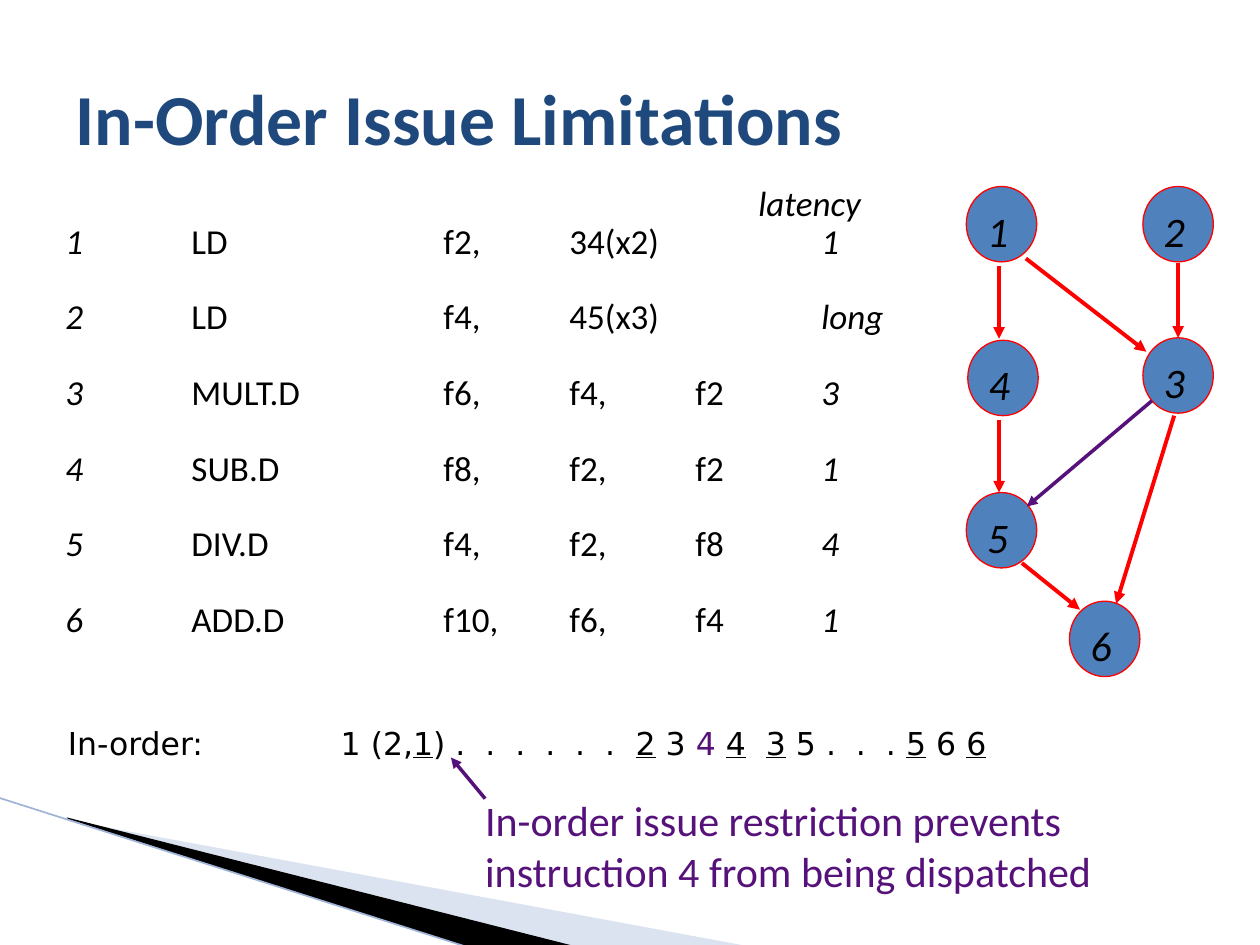
from lxml.etree import SubElement
from pptx import Presentation
from pptx.dml.color import RGBColor
from pptx.enum.shapes import MSO_CONNECTOR as Connector, MSO_SHAPE as Preset
from pptx.enum.text import MSO_ANCHOR as Anchor, PP_ALIGN as Align
from pptx.oxml.ns import qn
from pptx.util import Cm, Pt

BLACK = RGBColor(0x00, 0x00, 0x00)
NAVY = RGBColor(0x1F, 0x49, 0x7D)
BLUE = RGBColor(0x4F, 0x81, 0xBD)
PALE = RGBColor(0xA7, 0xB9, 0xDB)
EDGE = RGBColor(0x9E, 0xB3, 0xD6)
RED = RGBColor(0xFF, 0x00, 0x00)
PURPLE = RGBColor(0x56, 0x12, 0x7A)

INSTRUCTIONS = [
    ("1", "LD", "f2,", "34(x2)", "", "1"),
    ("2", "LD", "f4,", "45(x3)", "", "long"),
    ("3", "MULT.D", "f6,", "f4,", "f2", "3"),
    ("4", "SUB.D", "f8,", "f2,", "f2", "1"),
    ("5", "DIV.D", "f4,", "f2,", "f8", "4"),
    ("6", "ADD.D", "f10,", "f6,", "f4", "1"),
]
COLUMN_TABS = [2.54, 7.62, 10.16, 12.7, 15.24]
LATENCY_TAB = 13.97

SCHEDULE = [
    ("In-order:\t1 (2,", ""), ("1", "u"), (") .  .  .  .  .  .  ", ""),
    ("2", "u"), (" 3 ", ""), ("4 ", "p"), ("4", "u"), ("  ", ""),
    ("3", "u"), (" 5 .  .  . ", ""), ("5", "u"), (" 6 ", ""), ("6", "u"),
]

NODES = [(19.48, 3.76), (23.04, 3.76), (23.04, 6.81),
         (19.51, 6.86), (19.48, 9.93), (21.56, 12.12)]
DEPENDENCIES = [
    (20.14, 5.36, 20.14, 6.83),
    (20.14, 8.46, 20.14, 9.93),
    (23.75, 5.31, 23.75, 6.81),
    (20.68, 5.21, 23.11, 7.09),
    (20.6, 11.35, 21.77, 12.29),
    (23.67, 8.38, 22.5, 12.17),
]
PURPLE_ARROWS = [(23.22, 8.08, 20.7, 10.21), (9.78, 16.1, 9.09, 15.27)]


def add_box(page, left, top, width, height):
    """Add a wrapping text box and return its text frame."""
    box = page.shapes.add_textbox(Cm(left), Cm(top), Cm(width), Cm(height))
    box.text_frame.word_wrap = True
    return box.text_frame


def add_span(para, text, size, color=BLACK, font="Calibri", italic=False):
    """Append a formatted run to a paragraph."""
    span = para.add_run()
    span.text = text
    span.font.size = Pt(size)
    span.font.name = font
    span.font.color.rgb = color
    span.font.italic = italic
    return span


def set_tabs(para, stops):
    """Give a paragraph left tab stops at the given centimetres."""
    tabs = SubElement(para._p.get_or_add_pPr(), qn("a:tabLst"))
    for stop in stops:
        SubElement(tabs, qn("a:tab"), pos=str(Cm(stop)), algn="l")


def add_line(page, ends, color, width, arrow=True):
    """Draw a straight connector, with an arrowhead at its end if asked."""
    line = page.shapes.add_connector(Connector.STRAIGHT, *map(Cm, ends))
    line.line.color.rgb = color
    line.line.width = Pt(width)
    if arrow:
        SubElement(line.line._get_or_add_ln(), qn("a:tailEnd"), type="triangle")
    SubElement(line._element.spPr, qn("a:effectLst"))


def add_wedge(page, points, color, opacity=100):
    """Draw a filled polygon without outline."""
    start, *rest = [(Cm(x), Cm(y)) for x, y in points]
    builder = page.shapes.build_freeform(*start)
    builder.add_line_segments(rest)
    wedge = builder.convert_to_shape()
    wedge.shadow.inherit = False
    wedge.line.fill.background()
    wedge.fill.solid()
    wedge.fill.fore_color.rgb = color
    if opacity < 100:
        tint = wedge._element.spPr.find(".//" + qn("a:srgbClr"))
        SubElement(tint, qn("a:alpha"), val=str(opacity * 1000))


def add_node(page, label, left, top):
    """Draw a graph node with its number."""
    node = page.shapes.add_shape(Preset.OVAL, Cm(left), Cm(top), Cm(1.42), Cm(1.52))
    node.shadow.inherit = False
    node.fill.solid()
    node.fill.fore_color.rgb = BLUE
    node.line.color.rgb = RED
    node.line.width = Pt(0.75)
    frame = add_box(page, left + 0.17, top + 0.25, 1.14, 1.27)
    add_span(frame.paragraphs[0], label, 24, italic=True)


def add_title(page, text):
    """Fill and format the title placeholder."""
    title = page.shapes.title
    title.left, title.top, title.width, title.height = map(Cm, (1.27, 0.76, 22.86, 3.18))
    title.text_frame.vertical_anchor = Anchor.MIDDLE
    para = title.text_frame.paragraphs[0]
    para.alignment = Align.LEFT
    add_span(para, text, 41, NAVY).font.bold = True


def add_listing(page):
    """Write the instructions with their latencies in tabbed columns."""
    frame = add_box(page, 1.07, 3.63, 17.2, 9.5)
    header = frame.paragraphs[0]
    header.line_spacing = 0.9
    set_tabs(header, [LATENCY_TAB])
    add_span(header, "\tlatency", 20, italic=True)
    for index, (number, *fields, latency) in enumerate(INSTRUCTIONS):
        para = frame.add_paragraph()
        para.line_spacing = 0.9
        para.space_before = Pt(21.6 if index else 0)
        set_tabs(para, COLUMN_TABS)
        add_span(para, number, 20, italic=True)
        add_span(para, "\t" + "\t".join(fields) + "\t", 20)
        add_span(para, latency, 20, italic=True)


def add_schedule(page):
    """Write the issue order, with completions underlined."""
    para = add_box(page, 1.12, 14.48, 20.27, 1.02).paragraphs[0]
    set_tabs(para, [5.5])
    for text, mark in SCHEDULE:
        color = PURPLE if mark == "p" else BLACK
        span = add_span(para, text, 18, color, "DejaVu Sans")
        span.font.underline = mark == "u"


def main():
    """Build the slide and save it."""
    deck = Presentation()
    deck.slide_width, deck.slide_height = Cm(25.4), Cm(19.05)
    page = deck.slides.add_slide(deck.slide_layouts[5])
    add_wedge(page, [(1.4, 16.54), (15.11, 19.08), (11.58, 19.08), (1.4, 16.51)], PALE, 40)
    add_wedge(page, [(1.35, 16.48), (11.61, 19.08), (9.45, 19.1), (1.37, 16.51)], BLACK)
    add_line(page, (-0.03, 16.08, 9.45, 19.1), EDGE, 0.95, arrow=False)
    add_title(page, "In-Order Issue Limitations")
    add_listing(page)
    add_schedule(page)
    for number, corner in enumerate(NODES, 1):
        add_node(page, str(number), *corner)
    for ends in DEPENDENCIES:
        add_line(page, ends, RED, 2.25)
    for ends in PURPLE_ARROWS:
        add_line(page, ends, PURPLE, 2)
    note = add_box(page, 9.53, 15.9, 14.61, 2.31)
    add_span(note.paragraphs[0], "In-order issue restriction prevents "
             "instruction 4 from being dispatched", 24, PURPLE)
    deck.save("out.pptx")


main()
